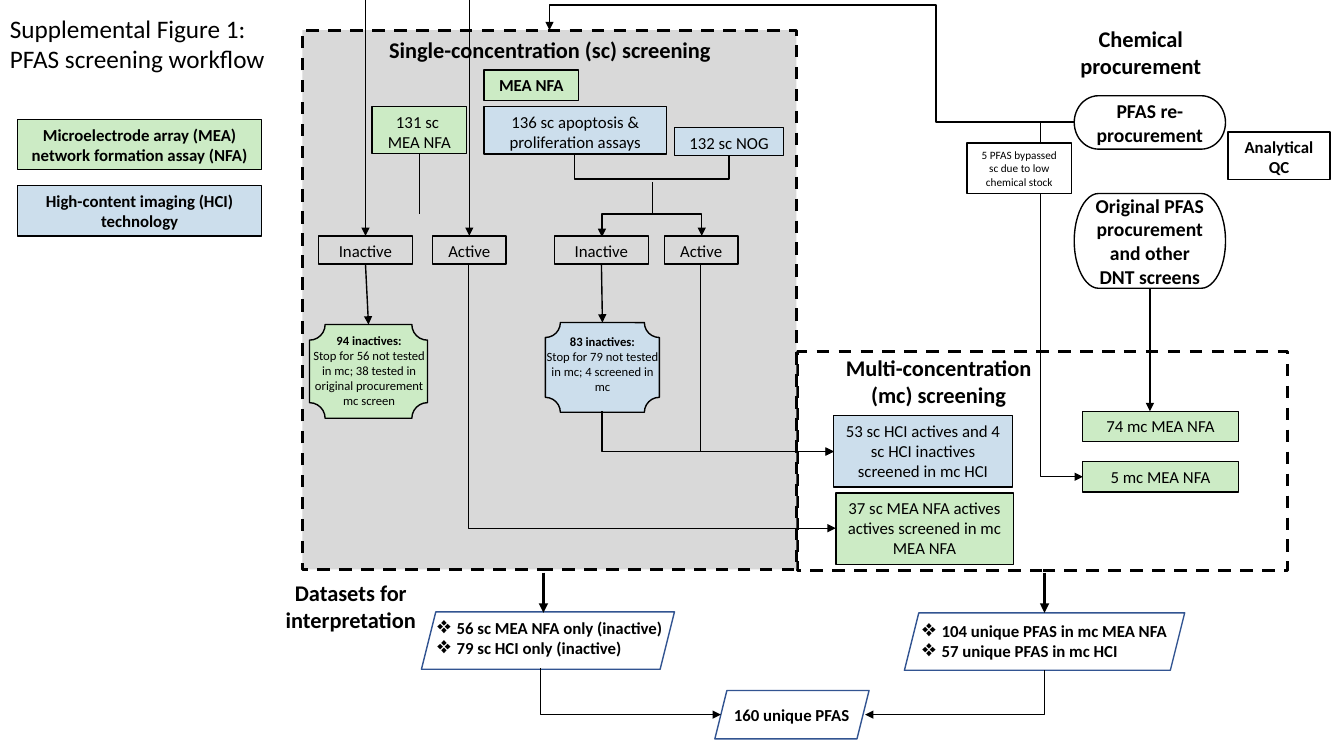
from lxml.etree import SubElement
from pptx import Presentation
from pptx.dml.color import RGBColor
from pptx.enum.dml import MSO_LINE
from pptx.enum.shapes import MSO_CONNECTOR as Wire, MSO_SHAPE as Form
from pptx.enum.text import MSO_ANCHOR as Anchor, PP_ALIGN as Align
from pptx.oxml.ns import qn
from pptx.util import Inches, Pt

THEME = dict(
    font="Calibri", ink="000000", mea="CCEBC5", hci="CCDEEC", paper="FFFFFF",
    panel="D9D9D9", edge="325491",
    title=18, heading=16, source=14, body=12, outcome=9, note=8,
    hairline=0.5, thin=1, thick=2.25,
)
CELL = Inches(0.1)
TOP, BOTTOM = 0, 2
DOWN_RIGHT = ("bentConnector2", 270, True, ())
DOWN_LEFT = ("bentConnector2", 90, False, ())

deck = Presentation()
deck.slide_width, deck.slide_height = Inches(13.33), Inches(7.5)
slide = deck.slides.add_slide(deck.slide_layouts[6])
shapes = slide.shapes


def place(area, text="", form=None, fill=None, edge="ink", weight="thin",
          size="body", bold=False, align=Align.CENTER, anchor=Anchor.TOP):
    area = [round(cells * CELL) for cells in area]
    if form is None:
        part = shapes.add_textbox(*area)
    else:
        part = shapes.add_shape(form, *area)
        part.shadow.inherit = False
        part.line.color.rgb = RGBColor.from_string(THEME[edge])
        part.line.width = Pt(THEME[weight])
        if fill:
            part.fill.solid()
            part.fill.fore_color.rgb = RGBColor.from_string(THEME[fill])
        else:
            part.fill.background()
    frame = part.text_frame
    frame.word_wrap = True
    frame.vertical_anchor = anchor
    if text:
        frame.text = text
    for paragraph in frame.paragraphs:
        paragraph.alignment = align
        for run in paragraph.runs:
            run.font.name = THEME["font"]
            run.font.size = Pt(THEME[size])
            run.font.bold = bold
            run.font.color.rgb = RGBColor.from_string(THEME["ink"])
    return part


def route(near, far, bend=None, start=None, end=None, weight="thin", tips=("tailEnd",)):
    x1, y1, x2, y2 = [round(cells * CELL) for cells in near + far]
    wire = shapes.add_connector(Wire.ELBOW if bend else Wire.STRAIGHT, x1, y1, x2, y2)
    wire.line.color.rgb = RGBColor.from_string(THEME["ink"])
    wire.line.width = Pt(THEME[weight])
    if start:
        wire.begin_connect(*start)
    if end:
        wire.end_connect(*end)
    props = wire._element.spPr
    if bend:
        preset, turn, flipped, shares = bend
        width, height = abs(x2 - x1), abs(y2 - y1)
        if turn % 180:
            width, height = height, width
        wire.left, wire.top = (x1 + x2 - width) // 2, (y1 + y2 - height) // 2
        wire.width, wire.height = width, height
        frame = props.find(qn("a:xfrm"))
        frame.set("rot", str(turn * 60000))
        frame.set("flipH", str(int(flipped)))
        frame.set("flipV", "0")
        outline = props.find(qn("a:prstGeom"))
        outline.set("prst", preset)
        for number, share in enumerate(shares, 1):
            SubElement(outline.find(qn("a:avLst")), qn("a:gd"),
                       name=f"adj{number}", fmla=f"val {round(share * 100000)}")
    pen = wire.line._get_or_add_ln()
    for tip in tips:
        SubElement(pen, qn("a:" + tip), type="triangle")
    SubElement(props, qn("a:effectLst"))


route((103.2, 12.1), (107.4, 47.3), DOWN_RIGHT)
place((0, 0.85, 28.2, 7.1), "Supplemental Figure 1: PFAS screening workflow",
      size="title", align=Align.LEFT)

mc_panel = place((79.1, 34.9, 48.6, 21.7), form=Form.RECTANGLE, weight="thick")
sc_panel = place((30, 3, 49, 53.5), form=Form.RECTANGLE, fill="panel", weight="thick")
for panel in (mc_panel, sc_panel):
    panel.line.dash_style = MSO_LINE.DASH

for heading, area in (
    ("Single-concentration (sc) screening", (36.6, 3.1, 35.9, 3.7)),
    ("Multi-concentration (mc) screening", (82.6, 34.65, 21, 5.9)),
    ("Datasets for interpretation", (23.8, 56.95, 22, 5.9)),
    ("Chemical procurement", (102.65, 2, 21, 5.9)),
):
    place(area, heading, size="heading", bold=True)

for label, area, fill in (
    ("Microelectrode array (MEA) network formation assay (NFA)", (1.75, 11.85, 24.2, 5), "mea"),
    ("High-content imaging (HCI) technology", (1.75, 18.4, 24.2, 5), "hci"),
    ("MEA NFA", (48, 6.95, 9.4, 3), "mea"),
    ("Analytical QC", (121.8, 13.1, 10.1, 4.7), None),
):
    place(area, label, Form.RECTANGLE, fill, bold=True)

steps = {
    key: place(area, label, Form.RECTANGLE, fill)
    for key, label, area, fill in (
        ("sc mea", "131 sc \nMEA NFA", (36.9, 10.55, 9.4, 4.7), "mea"),
        ("apoptosis", "136 sc apoptosis & proliferation assays", (48, 10.6, 18.1, 4.7), "hci"),
        ("nog", "132 sc NOG", (66.9, 12.65, 10.8, 2.8), "hci"),
        ("mea inactive", "Inactive", (31.6, 23.4, 9.3, 2.8), None),
        ("mea active", "Active", (42.9, 23.4, 7.3, 2.8), None),
        ("hci inactive", "Inactive", (55, 23.4, 9.3, 2.8), None),
        ("hci active", "Active", (65.9, 23.4, 7.3, 2.8), None),
        ("mc hci", "53 sc HCI actives and 4 sc HCI inactives screened in mc HCI",
         (82.65, 41.2, 17.8, 7.1), "hci"),
        ("mc mea", "37 sc MEA NFA actives actives screened in mc MEA NFA",
         (82.9, 48.9, 17.6, 7.1), "mea"),
        ("mc original", "74 mc MEA NFA", (107.35, 40.8, 15.5, 3), "mea"),
        ("mc bypass", "5 mc MEA NFA", (107.35, 45.8, 15.5, 3), "mea"),
    )
}

reprocured, original = [
    place((106.55, top, 15, height), label, Form.FLOWCHART_TERMINATOR, "paper",
          size="source", bold=True, anchor=Anchor.MIDDLE)
    for label, top, height in (
        ("PFAS re-procurement", 9.5, 5.3),
        ("Original PFAS procurement and other DNT screens", 19.2, 9.4),
    )
]

stops = {}
for key, fill, plaque, note, lines in (
    ("mea", "mea", (30.7, 32.2, 11.7, 9.3), (30, 32.5, 13.2, 10.1),
     "94 inactives:\nStop for 56 not tested in mc; 38 tested in original procurement mc screen"),
    ("hci", "hci", (54.1, 32, 11.3, 8.9), (53.2, 32.6, 13.1, 7.1),
     "83 inactives:\nStop for 79 not tested in mc; 4 screened in mc"),
):
    stops[key] = place(plaque, form=Form.PLAQUE, fill=fill)
    outcome = place(note, lines, size="outcome")
    outcome.text_frame.paragraphs[0].runs[0].font.bold = True

for frame_area, text_area, lines in (
    ((41.8, 60.7, 25.1, 5.7), (42.4, 60.8, 27.8, 5),
     "56 sc MEA NFA only (inactive)\n79 sc HCI only (inactive)"),
    ((89.7, 60.8, 27.8, 5.7), (90.5, 61.1, 30.3, 5),
     "104 unique PFAS in mc MEA NFA\n57 unique PFAS in mc HCI"),
    ((70.9, 68.5, 15.3, 4.8), (71.8, 69.4, 24, 2.6), "160 unique PFAS"),
):
    place(frame_area, form=Form.PARALLELOGRAM, edge="edge")
    dataset = place(text_area, lines, bold=True, align=Align.LEFT)
    if "\n" in lines:
        for paragraph in dataset.text_frame.paragraphs:
            props = paragraph._p.get_or_add_pPr()
            props.set("marL", str(Inches(0.19)))
            props.set("indent", str(-Inches(0.19)))
            SubElement(props, qn("a:buSzPct"), val="140000")
            SubElement(props, qn("a:buChar"), char="❖")

for column, key in ((36.25, "mea inactive"), (46.55, "mea active")):
    route((column, 0), (column, 23.4), end=(steps[key], TOP))
route((41.6, 15.2), (41.6, 21.2), start=(steps["sc mea"], BOTTOM), tips=())
route((64.7, 18.1), (64.7, 21.2), tips=())
route((57, 15.3), (72.3, 15.4), ("bentConnector3", 270, True, (25,)), tips=())
route((59.7, 23.5), (69.6, 23.4), ("bentConnector3", 270, False, (23,)),
      tips=("headEnd", "tailEnd"))
route((36.25, 26.2), (36.55, 32.2), start=(steps["mea inactive"], BOTTOM), end=(stops["mea"], TOP))
route((59.65, 26.2), (59.75, 32), start=(steps["hci inactive"], BOTTOM), end=(stops["hci"], TOP))
route((46.5, 26.2), (82.9, 52.4), DOWN_RIGHT)
for column, bottom in ((69.5, 26.2), (59.7, 40.8)):
    route((column, bottom), (82.7, 44.8), DOWN_RIGHT)
route((106.6, 12.1), (54.5, 3), ("bentConnector4", 180, False, (0.264, 1.275)))
route((114.05, 28.6), (114.05, 40.8), start=(original, BOTTOM))
for column in (53.9, 103.6):
    route((column, 56.8), (column, 60.8), weight="thick")
route((53.6, 66.3), (71.5, 70.9), DOWN_RIGHT, weight="hairline")
route((103.6, 66.5), (85.8, 70.9), DOWN_LEFT, weight="hairline")

place((95.9, 14.2, 10.4, 5), "5 PFAS bypassed sc due to low chemical stock",
      Form.RECTANGLE, "paper", size="note")

deck.save("out.pptx")
